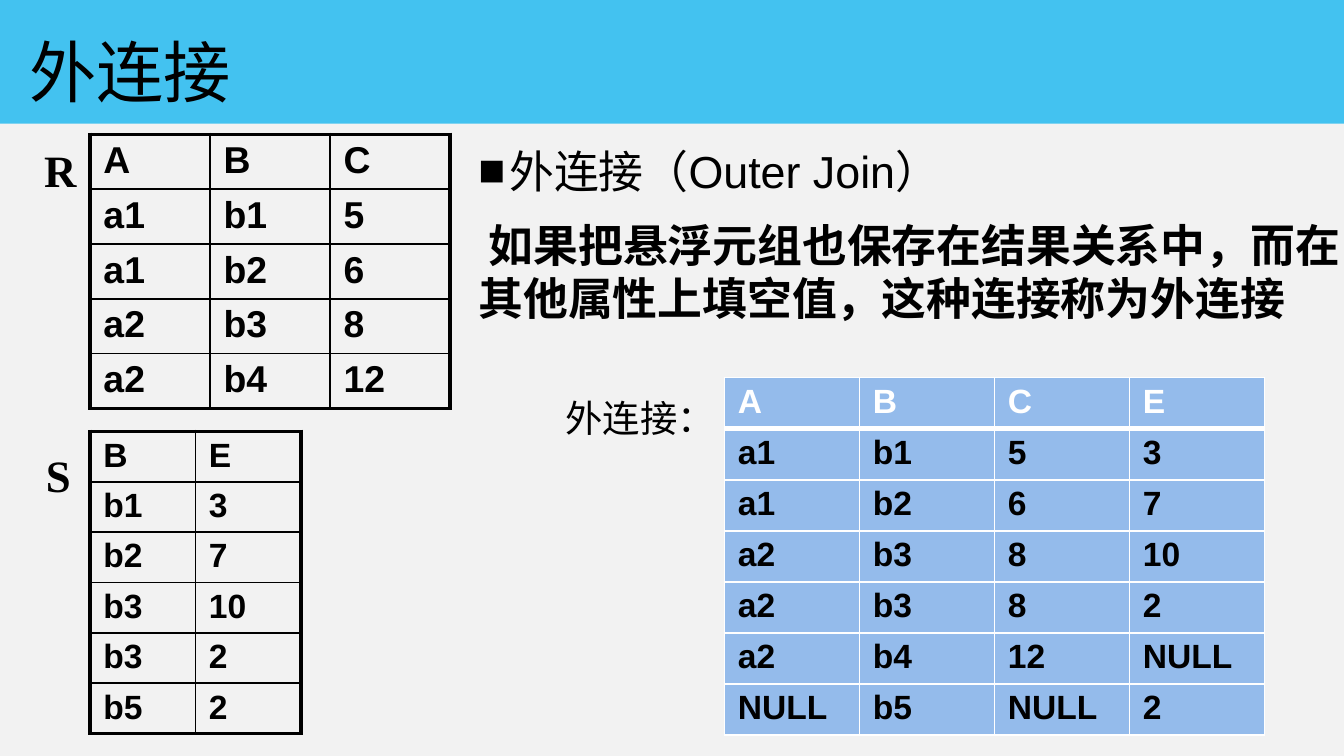
from lxml import etree
from pptx import Presentation
from pptx.dml.color import RGBColor
from pptx.enum import shapes, text
from pptx.oxml.ns import qn
from pptx.util import Inches, Pt

COLORS = {"page": "F2F2F2", "band": "00B0F0", "ink": "000000",
          "result": "94BBEB", "light": "FFFFFF"}


class SlideBuilder:
    """Holds the style and the current slide."""

    font = "Arial"
    serif = "Times New Roman"
    bold_font = "Noto Sans CJK SC"

    def __init__(self, deck):
        self.page = deck.slides.add_slide(deck.slide_layouts[1])
        self.page.background.fill.solid()
        self.page.background.fill.fore_color.rgb = self.color("page")

    def color(self, name):
        return RGBColor.from_string(COLORS[name])

    def place(self, shape, left, top, width, height):
        shape.left, shape.top = Inches(left), Inches(top)
        shape.width, shape.height = Inches(width), Inches(height)

    def add_span(self, para, words, size, font=None, bold=False, color="ink"):
        span = para.add_run()
        span.text = words
        span.font.name = font or self.font
        span.font.size = Pt(size)
        span.font.bold = bold
        span.font.color.rgb = self.color(color)

    def band(self, left, top, width, height):
        shape = self.page.shapes.add_shape(
            shapes.MSO_SHAPE.RECTANGLE,
            Inches(left), Inches(top), Inches(width), Inches(height))
        shape.shadow.inherit = False
        shape.fill.solid()
        shape.fill.fore_color.rgb = self.color("band")
        shape.line.fill.background()
        tint = shape._element.spPr.find(".//" + qn("a:srgbClr"))
        etree.SubElement(tint, qn("a:alpha"), val="72000")
        # Behind the placeholders
        self.page.shapes._spTree.insert(2, shape._element)

    def title(self, words, *area):
        shape = self.page.shapes.title
        self.place(shape, *area)
        frame = shape.text_frame
        frame.auto_size = text.MSO_AUTO_SIZE.NONE
        frame.vertical_anchor = text.MSO_ANCHOR.MIDDLE
        para = frame.paragraphs[0]
        para.alignment = text.PP_ALIGN.LEFT
        self.add_span(para, words, 36)

    def body(self, heading, definition, *area):
        shape = self.page.placeholders[1]
        self.place(shape, *area)
        frame = shape.text_frame
        frame.auto_size = text.MSO_AUTO_SIZE.NONE
        lines = [(heading, "■", 0.23, self.font, False, 0),
                 (definition, None, 0, self.bold_font, True, 11.5)]
        for index, (words, bullet, hang, font, bold, gap) in enumerate(lines):
            para = frame.add_paragraph() if index else frame.paragraphs[0]
            props = para._p.get_or_add_pPr()
            props.set("marL", str(Inches(hang)))
            props.set("indent", str(-Inches(hang)))
            if bullet:
                etree.SubElement(props, qn("a:buChar"), char=bullet)
            else:
                etree.SubElement(props, qn("a:buNone"))
            para.space_before = Pt(gap)
            para.line_spacing = Pt(28.5)
            self.add_span(para, words, 24, font, bold)

    def label(self, spans, size, bold, *area):
        box = self.page.shapes.add_textbox(*map(Inches, area))
        box.text_frame.word_wrap = True
        para = box.text_frame.paragraphs[0]
        para.alignment = text.PP_ALIGN.CENTER
        for words, font in spans:
            self.add_span(para, words, size, font, bold)

    def border(self, cell, side, width, color):
        line = etree.SubElement(cell._tc.get_or_add_tcPr(), qn("a:ln" + side),
                                w=str(Pt(width)))
        fill = etree.SubElement(line, qn("a:solidFill"))
        etree.SubElement(fill, qn("a:srgbClr"), val=COLORS[color])

    def table(self, rows, size, left, top, width, height, result=False):
        last_row, last_column = len(rows) - 1, len(rows[0]) - 1
        holder = self.page.shapes.add_table(
            len(rows), len(rows[0]), Inches(left), Inches(top),
            Inches(width), Inches(height))
        grid = holder.table
        grid.first_row = grid.horz_banding = False
        if result:  # rows grow to fit their text
            for line in grid.rows:
                line.height = Inches(0.3)
            holder.height = Inches(height)
        edge = 1 if result else 2.25
        rule = 3 if result else 1  # line under the header
        line_color = "light" if result else "ink"
        for r, row in enumerate(rows):
            for c, words in enumerate(row):
                cell = grid.cell(r, c)
                cell.margin_left = cell.margin_right = Inches(0.1)
                cell.margin_top = cell.margin_bottom = Inches(0.04)
                widths = {
                    "L": edge if c == 0 else 1,
                    "R": edge if c == last_column else 1,
                    "T": edge if r == 0 else rule if r == 1 else 1,
                    "B": edge if r == last_row else rule if r == 0 else 1,
                }
                for side, weight in widths.items():
                    self.border(cell, side, weight, line_color)
                if result:
                    cell.fill.solid()
                    cell.fill.fore_color.rgb = self.color("result")
                else:
                    cell.fill.background()
                color = "light" if result and r == 0 else "ink"
                self.add_span(cell.text_frame.paragraphs[0], words, size,
                              bold=True, color=color)


def main():
    deck = Presentation()
    deck.slide_width = Inches(10)
    deck.slide_height = Inches(10) * 9 // 16
    slide = SlideBuilder(deck)

    # Header and definition
    slide.band(-0.01, 0, 10.01, 0.92)
    slide.title("外连接", 0.12, 0.14, 4.41, 0.77)
    slide.body("外连接（Outer Join）",
               " 如果把悬浮元组也保存在结果关系中，而在其他属性上填空值，这种连接称为外连接",
               3.46, 1.02, 6.65, 1.48)

    # Source relations
    relation_r = [("A", "B", "C"), ("a1", "b1", "5"), ("a1", "b2", "6"),
                  ("a2", "b3", "8"), ("a2", "b4", "12")]
    relation_s = [("B", "E"), ("b1", "3"), ("b2", "7"), ("b3", "10"),
                  ("b3", "2"), ("b5", "2")]
    slide.table(relation_r, 20, 0.67, 1, 2.68, 2.04)
    slide.table(relation_s, 18, 0.67, 3.21, 1.57, 2.25)
    slide.label([("R", slide.serif)], 24, True, 0.23, 1.01, 0.39, 0.5)
    slide.label([("S", slide.serif)], 24, True, 0.16, 3.28, 0.55, 0.5)

    # Outer join result
    outer_join = [("A", "B", "C", "E"), ("a1", "b1", "5", "3"),
                  ("a1", "b2", "6", "7"), ("a2", "b3", "8", "10"),
                  ("a2", "b3", "8", "2"), ("a2", "b4", "12", "NULL"),
                  ("NULL", "b5", "NULL", "2")]
    slide.label([("外连接", slide.font), ("：", slide.serif)], 20, False,
                4.06, 2.89, 1.41, 0.44)
    slide.table(outer_join, 18, 5.39, 2.81, 4.02, 2.62, result=True)

    deck.save("out.pptx")


if __name__ == "__main__":
    main()
